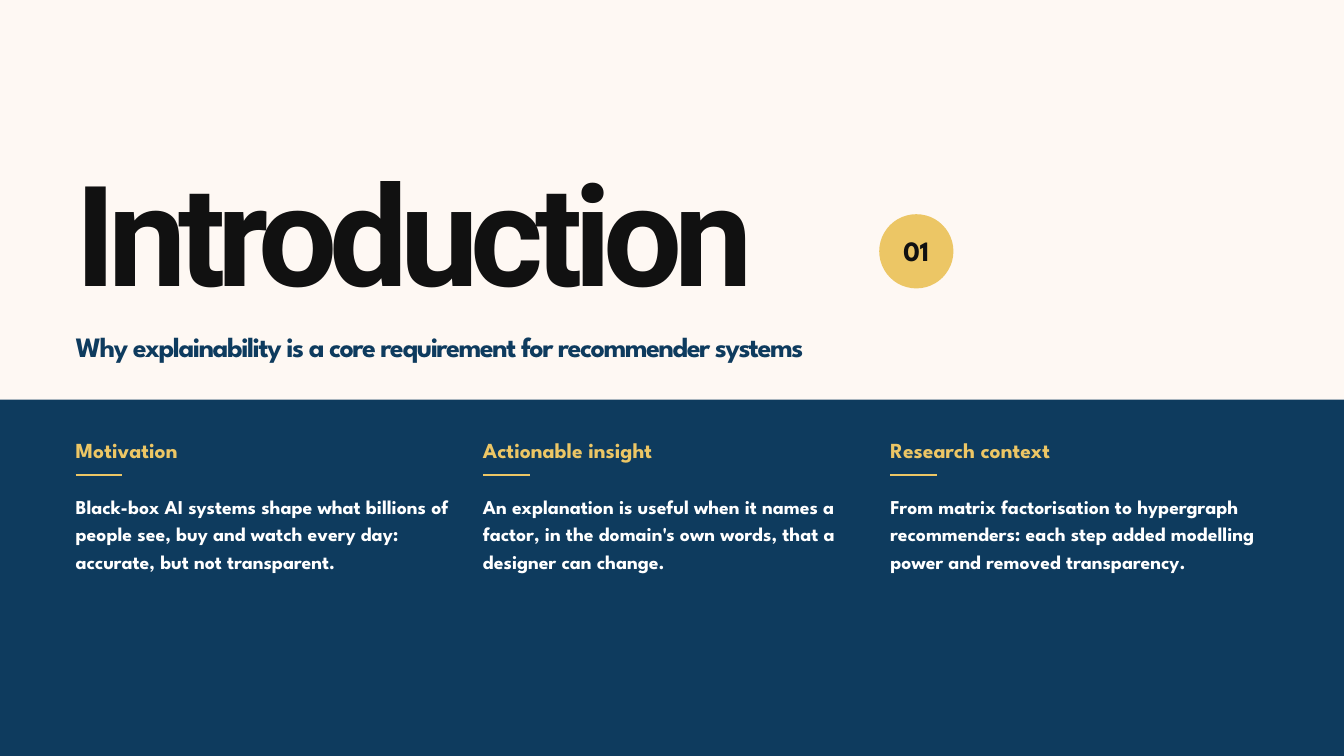
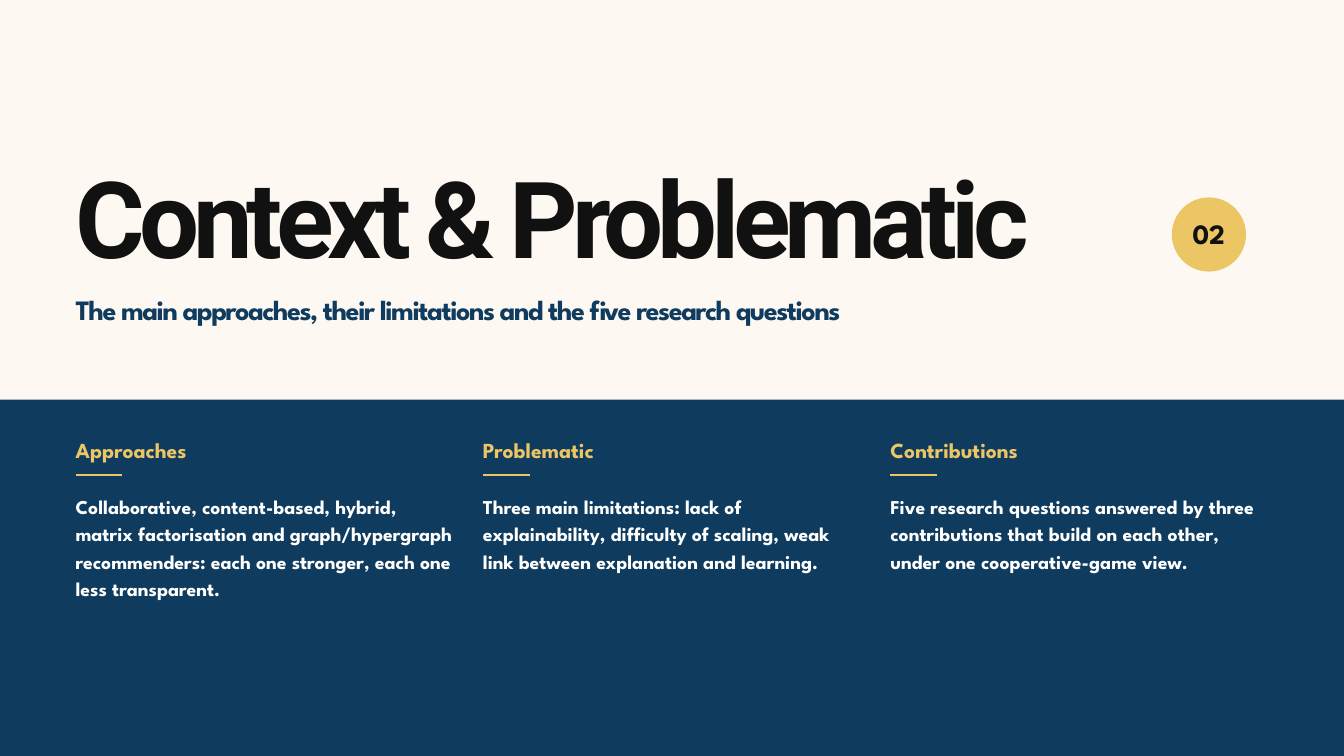
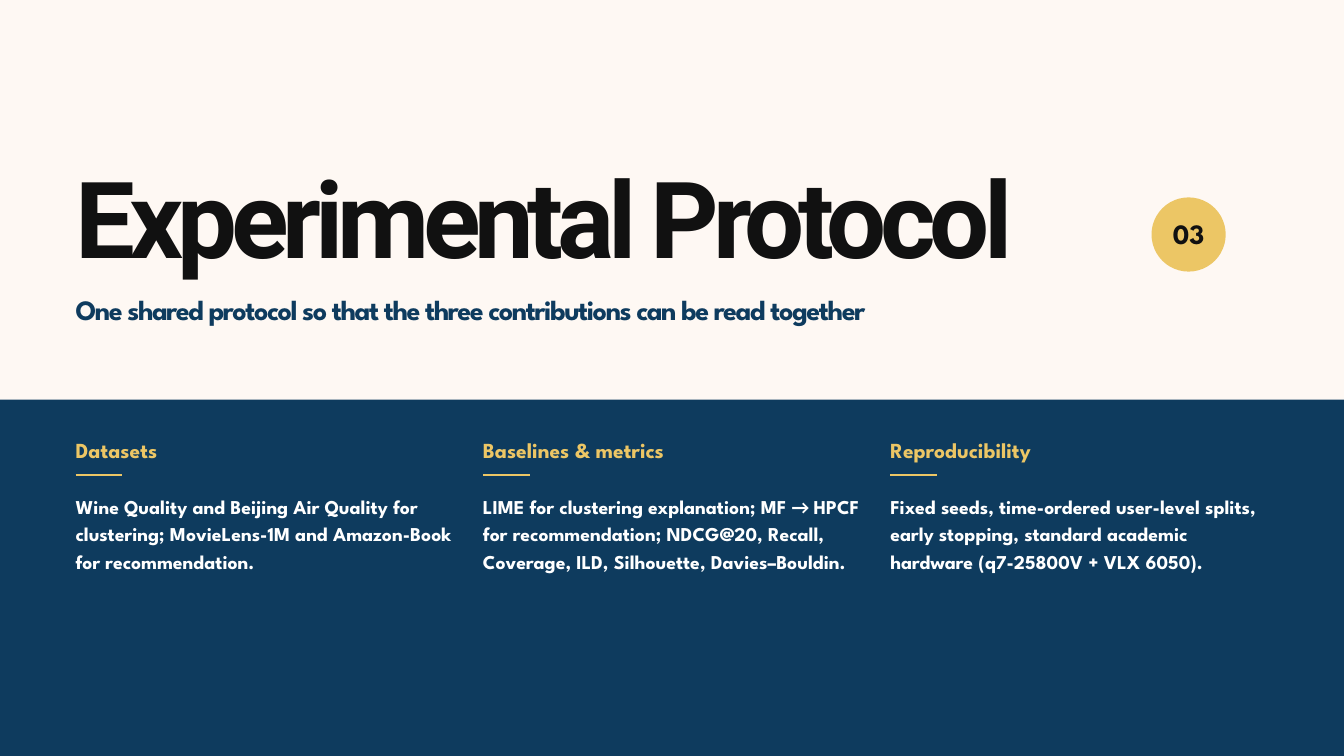
import dataclasses

import pptx
import pptx.dml.color
import pptx.enum.shapes
import pptx.enum.text
import pptx.util
from lxml import etree

PX = 9525  # EMU in one px
ALIGN = pptx.enum.text.PP_ALIGN
ANCHOR = pptx.enum.text.MSO_ANCHOR
SHAPE = pptx.enum.shapes.MSO_SHAPE
LINE = pptx.enum.shapes.MSO_CONNECTOR
DRAW = "http://schemas.openxmlformats.org/drawingml/2006/main"


@dataclasses.dataclass(frozen=True)
class Theme:
    cream: str = "FEF8F3"
    navy: str = "0E3B5E"
    gold: str = "ECC665"
    ink: str = "111111"
    white: str = "FFFFFF"
    display: str = "Roboto"
    sans: str = "League Spartan"
    arrow: str = "Calibri"
    large: int = 150
    medium: int = 114
    lead: int = 30
    head: int = 23
    body: int = 21
    rule: float = 2.5


T = Theme()

WIDE, HIGH = 1920, 1080
EDGE = 108
SPLIT = 571  # top of the navy band
GAP = 42
BADGE = 106


# Shared parts
def px(*sizes):
    return [pptx.util.Emu(round(size) * PX) for size in sizes]


def rgb(code):
    return pptx.dml.color.RGBColor.from_string(code)


def text(shape, words, *, size, color, lead, font=T.sans, track=0,
         align=ALIGN.LEFT, anchor=ANCHOR.TOP):
    """Fill a shape with bold text, given as a string or (string, font) runs."""
    frame = shape.text_frame
    frame.word_wrap = True
    frame.vertical_anchor = anchor
    frame.margin_left = frame.margin_right = 0
    frame.margin_top = frame.margin_bottom = 0
    para = frame.paragraphs[0]
    para.alignment = align
    para.line_spacing = pptx.util.Pt(lead)
    runs = [(words, font)] if isinstance(words, str) else words
    for part, face in runs:
        run = para.add_run()
        run.text = part
        run.font.name = face
        run.font.size = pptx.util.Pt(size)
        run.font.bold = True
        run.font.color.rgb = rgb(color)
        if track:
            run._r.get_or_add_rPr().set("spc", str(round(track * 100)))


def label(slide, box, words, **style):
    text(slide.shapes.add_textbox(*px(*box)), words, **style)


def solid(slide, kind, box, color):
    shape = slide.shapes.add_shape(kind, *px(*box))
    shape.shadow.inherit = False
    shape.fill.solid()
    shape.fill.fore_color.rgb = rgb(color)
    shape.line.fill.background()
    return shape


def rule(slide, left, top, width):
    line = slide.shapes.add_connector(
        LINE.STRAIGHT, *px(left, top, left + width, top))
    line.line.color.rgb = rgb(T.gold)
    line.line.width = pptx.util.Pt(T.rule)
    etree.SubElement(line._element.spPr, f"{{{DRAW}}}effectLst")


# Regions
def header(slide, box, part):
    """Title, number badge and subtitle, spaced by the title's type size."""
    left, top, width = box
    size = part["size"]
    label(slide, (left, top, 1560, 1.6 * size), part["title"], size=size,
          color=T.ink, lead=1.02 * size, font=T.display, track=-0.058 * size)

    middle = top + 0.68 * size + 12
    badge = solid(slide, SHAPE.OVAL,
                  (part["badge"], middle - BADGE / 2, BADGE, BADGE), T.gold)
    text(badge, part["number"], size=T.lead, color=T.ink, lead=34,
         align=ALIGN.CENTER, anchor=ANCHOR.MIDDLE)

    label(slide, (left, top + 1.49 * size, width, 67), part["claim"],
          size=T.lead, color=T.navy, lead=38, track=-1.5)


def column(slide, box, head, body):
    left, top, width = box
    label(slide, (left, top, width, 48), head,
          size=T.head, color=T.gold, lead=28)
    rule(slide, left, top + 55, 67)
    label(slide, (left, top + 77, width, 326), body,
          size=T.body, color=T.white, lead=29.4)


def band(slide, box, points):
    left, top, width, _ = box
    solid(slide, SHAPE.RECTANGLE, box, T.navy)
    count = len(points)
    span = (width - 2 * EDGE - (count - 1) * GAP) / count
    for i, (head, body) in enumerate(points):
        spot = left + EDGE + i * (span + GAP)
        column(slide, (spot, top + 53, span), head, body)


def section(deck, part):
    slide = deck.slides.add_slide(deck.slide_layouts[6])
    slide.background.fill.solid()
    slide.background.fill.fore_color.rgb = rgb(T.cream)
    header(slide, (EDGE, 245, WIDE - 2 * EDGE), part)
    band(slide, (0, SPLIT, WIDE, HIGH - SPLIT), part["points"])


# Content
PARTS = [
    {
        "title": "Introduction",
        "size": T.large,
        "number": "01",
        "badge": 1256,
        "claim": "Why explainability is a core requirement for "
                 "recommender systems",
        "points": [
            ("Motivation",
             "Black-box AI systems shape what billions of people see, buy "
             "and watch every day: accurate, but not transparent."),
            ("Actionable insight",
             "An explanation is useful when it names a factor, in the "
             "domain's own words, that a designer can change."),
            ("Research context",
             "From matrix factorisation to hypergraph recommenders: each "
             "step added modelling power and removed transparency."),
        ],
    },
    {
        "title": "Context & Problematic",
        "size": T.medium,
        "number": "02",
        "badge": 1674,
        "claim": "The main approaches, their limitations and the five "
                 "research questions",
        "points": [
            ("Approaches",
             "Collaborative, content-based, hybrid, matrix factorisation "
             "and graph/hypergraph recommenders: each one stronger, each "
             "one less transparent."),
            ("Problematic",
             "Three main limitations: lack of explainability, difficulty "
             "of scaling, weak link between explanation and learning."),
            ("Contributions",
             "Five research questions answered by three contributions that "
             "build on each other, under one cooperative-game view."),
        ],
    },
    {
        "title": "Experimental Protocol",
        "size": T.medium,
        "number": "03",
        "badge": 1645,
        "claim": "One shared protocol so that the three contributions can "
                 "be read together",
        "points": [
            ("Datasets",
             "Wine Quality and Beijing Air Quality for clustering; "
             "MovieLens-1M and Amazon-Book for recommendation."),
            ("Baselines & metrics",
             [("LIME for clustering explanation; MF ", T.sans),
              ("→ ", T.arrow),
              ("HPCF for recommendation; NDCG@20, Recall, Coverage, ILD, "
               "Silhouette, Davies–Bouldin.", T.sans)]),
            ("Reproducibility",
             "Fixed seeds, time-ordered user-level splits, early stopping, "
             "standard academic hardware (q7-25800V + VLX 6050)."),
        ],
    },
]


def main():
    deck = pptx.Presentation()
    deck.slide_width, deck.slide_height = px(WIDE, HIGH)
    for part in PARTS:
        section(deck, part)
    deck.save("out.pptx")


if __name__ == "__main__":
    main()
